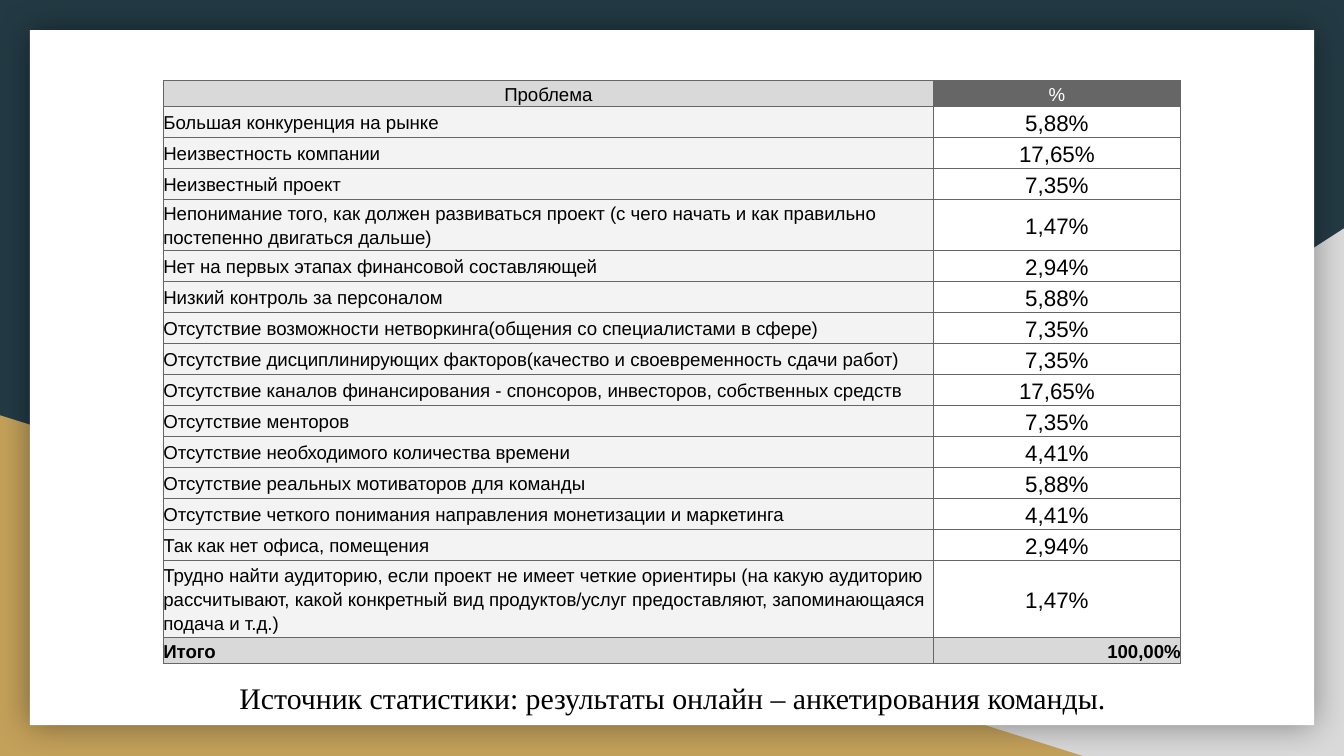
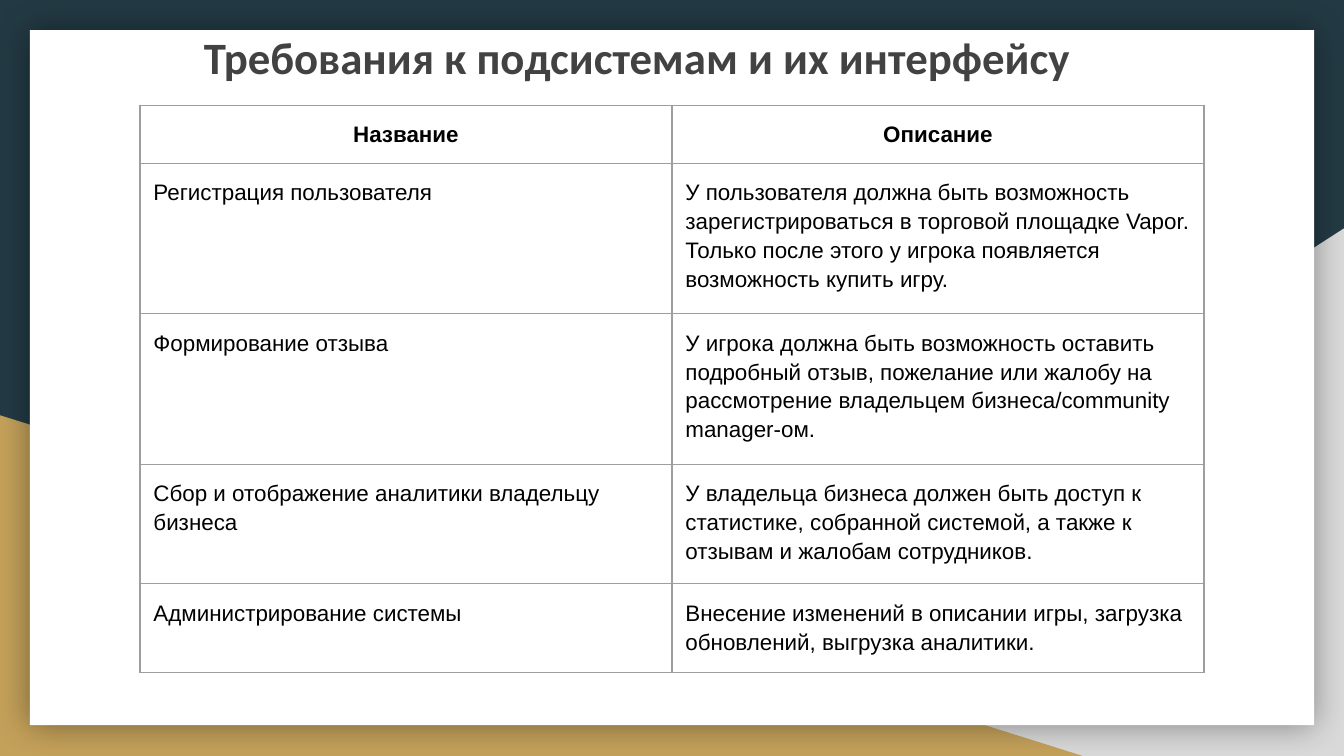
from lxml import etree
from pptx import Presentation
from pptx import util as u
from pptx.dml.color import RGBColor
from pptx.enum import shapes, text
from pptx.oxml.ns import qn

COLORS = {
    "navy": "233A44", "silver": "D9D9D9", "gold": "C4A15A", "white": "FFFFFF",
    "black": "000000", "title": "424242", "dark": "666666", "pale": "F3F3F3",
    "grid": "9E9E9E",
}
PP, ANCHOR = text.PP_ALIGN, text.MSO_ANCHOR
PAD = 7.2
SHAPE = shapes.MSO_SHAPE

PROBLEMS = [
    ("Большая конкуренция на рынке", "5,88%"),
    ("Неизвестность компании", "17,65%"),
    ("Неизвестный проект", "7,35%"),
    ("Непонимание того, как должен развиваться проект (с чего начать и как "
     "правильно постепенно двигаться дальше)", "1,47%"),
    ("Нет на первых этапах финансовой составляющей", "2,94%"),
    ("Низкий контроль за персоналом", "5,88%"),
    ("Отсутствие возможности нетворкинга(общения со специалистами в сфере)", "7,35%"),
    ("Отсутствие дисциплинирующих факторов(качество и своевременность сдачи работ)",
     "7,35%"),
    ("Отсутствие каналов финансирования - спонсоров, инвесторов, собственных средств",
     "17,65%"),
    ("Отсутствие менторов", "7,35%"),
    ("Отсутствие необходимого количества времени", "4,41%"),
    ("Отсутствие реальных мотиваторов для команды", "5,88%"),
    ("Отсутствие четкого понимания направления монетизации и маркетинга", "4,41%"),
    ("Так как нет офиса, помещения", "2,94%"),
    ("Трудно найти аудиторию, если проект не имеет четкие ориентиры (на какую "
     "аудиторию рассчитывают, какой конкретный вид продуктов/услуг предоставляют, "
     "запоминающаяся подача и т.д.)", "1,47%"),
]
REQUIREMENTS = [
    ("Регистрация пользователя",
     "У пользователя должна быть возможность зарегистрироваться в торговой площадке "
     "Vapor. Только после этого у игрока появляется возможность купить игру."),
    ("Формирование отзыва",
     "У игрока должна быть возможность оставить подробный отзыв, пожелание или жалобу "
     "на рассмотрение владельцем бизнеса/community manager-ом."),
    ("Сбор и отображение аналитики владельцу бизнеса",
     "У владельца бизнеса должен быть доступ к статистике, собранной системой, "
     "а также к отзывам и жалобам сотрудников."),
    ("Администрирование системы",
     "Внесение изменений в описании игры, загрузка обновлений, выгрузка аналитики."),
]


def rgb(name):
    return RGBColor.from_string(COLORS[name])


def set_attrs(obj, values):
    for name, value in values.items():
        setattr(obj, name, value)


def margins(pad):
    sides = ("left", "right", "top", "bottom")
    return {f"margin_{side}": u.Pt(pad) for side in sides}


def write(tf, words, size, color="black", bold=False, font="Arial",
          align=PP.LEFT, spacing=None):
    p = tf.paragraphs[0]
    set_attrs(p, {"alignment": align, "line_spacing": spacing})
    r = p.add_run()
    r.text = words
    set_attrs(r.font, {"size": u.Pt(size), "bold": bold, "name": font})
    r.font.color.rgb = rgb(color)


def add_block(s, kind, box, color):
    sp = s.shapes.add_shape(kind, *map(u.Pt, box))
    sp.shadow.inherit = False
    sp.fill.solid()
    sp.fill.fore_color.rgb = rgb(color)
    sp.line.fill.background()
    return sp


def add_glow(sp):
    effects = sp._element.spPr.find(qn("a:effectLst"))
    shadow = etree.SubElement(effects, qn("a:outerShdw"), blurRad=str(u.Pt(18)),
                              dist="0", dir="0", algn="ctr", rotWithShape="0")
    tint = etree.SubElement(shadow, qn("a:srgbClr"), val=COLORS["black"])
    etree.SubElement(tint, qn("a:alpha"), val="40000")


def add_slide(prs):
    """Blank slide with the coloured corners and the white sheet."""
    s = prs.slides.add_slide(prs.slide_layouts[6])
    s.background.fill.solid()
    s.background.fill.fore_color.rgb = rgb("navy")
    corner = add_block(s, SHAPE.RIGHT_TRIANGLE, (282, 122.4, 438, 282.6), "silver")
    corner._element.spPr.get_or_add_xfrm().set("flipH", "1")
    add_block(s, SHAPE.RIGHT_TRIANGLE, (0, 222.5, 580, 182.5), "gold")
    add_glow(add_block(s, SHAPE.RECTANGLE, (16, 16.2, 688, 372.3), "white"))
    return s


def add_text(s, box, words, anchor=ANCHOR.TOP, **style):
    tf = s.shapes.add_textbox(*map(u.Pt, box)).text_frame
    set_attrs(tf, {"word_wrap": True, "vertical_anchor": anchor, **margins(PAD)})
    write(tf, words, **style)


def add_borders(cell, color, width):
    tcPr = cell._tc.get_or_add_tcPr()
    for i, side in enumerate("LRTB"):
        ln = etree.Element(qn(f"a:ln{side}"), w=str(u.Pt(width)))
        fill = etree.SubElement(ln, qn("a:solidFill"))
        etree.SubElement(fill, qn("a:srgbClr"), val=COLORS[color])
        tcPr.insert(i, ln)


def add_grid(s, left, top, widths, heights, border):
    box = (left, top, sum(widths), sum(heights))
    table = s.shapes.add_table(len(heights), len(widths), *map(u.Pt, box)).table
    set_attrs(table, {"first_row": False, "horz_banding": False})
    for col, width in zip(table.columns, widths):
        col.width = u.Pt(width)
    for row, height in zip(table.rows, heights):
        row.height = u.Pt(height)
    for cell in table.iter_cells():
        cell.fill.background()
        add_borders(cell, *border)
    return table


def fill_cell(cell, words, pad, anchor=ANCHOR.TOP, fill=None, **style):
    set_attrs(cell, {"vertical_anchor": anchor, **margins(pad)})
    if fill:
        cell.fill.solid()
        cell.fill.fore_color.rgb = rgb(fill)
    write(cell.text_frame, words, spacing=1.15, **style)


def problems_slide(prs):
    s = add_slide(prs)
    add_text(s, (81.4, 363.6, 558, 20.2),
             "Источник статистики: результаты онлайн – анкетирования команды.",
             ANCHOR.MIDDLE, size=16, font="Times New Roman", align=PP.CENTER)
    # Style of the name cell and the share cell in each kind of row
    head = ({"fill": "silver", "size": 10, "align": PP.CENTER},
            {"fill": "dark", "size": 10, "align": PP.CENTER, "color": "white"})
    body = ({"fill": "pale", "size": 10},
            {"fill": "white", "size": 12, "align": PP.CENTER})
    total = ({"fill": "silver", "size": 10, "bold": True},
             {"fill": "silver", "size": 10, "bold": True, "align": PP.RIGHT})
    rows = [(("Проблема", "%"), head), *((row, body) for row in PROBLEMS),
            (("Итого", "100,00%"), total)]
    # Height follows the number of lines in the name
    heights = [13.3] + [16 if len(name) < 90 else 26.2 if len(name) < 130 else 39
                        for name, _ in PROBLEMS] + [13.3]
    table = add_grid(s, 87.5, 43, (412.5, 132.5), heights, ("dark", 0.5))
    for row, (words, styles) in zip(table.rows, rows):
        for cell, word, style in zip(row.cells, words, styles):
            fill_cell(cell, word, 0, ANCHOR.MIDDLE, **style)


def requirements_slide(prs):
    s = add_slide(prs)
    add_text(s, (102.2, 8.6, 553.7, 78.5), "Требования к подсистемам и их интерфейсу",
             size=24, font="Calibri", color="title", bold=True)
    table = add_grid(s, 75, 56.4, (285, 285), (30, 78.6, 78.6, 62.6, 46.4),
                     ("grid", 0.75))
    rows = [("Название", "Описание"), *REQUIREMENTS]
    for i, (row, words) in enumerate(zip(table.rows, rows)):
        for cell, word in zip(row.cells, words):
            fill_cell(cell, word, PAD, size=12, bold=i == 0,
                      align=PP.LEFT if i else PP.CENTER)


def main():
    prs = Presentation()
    set_attrs(prs, {"slide_width": u.Pt(720), "slide_height": u.Pt(405)})
    problems_slide(prs)
    requirements_slide(prs)
    prs.save("out.pptx")


if __name__ == "__main__":
    main()
